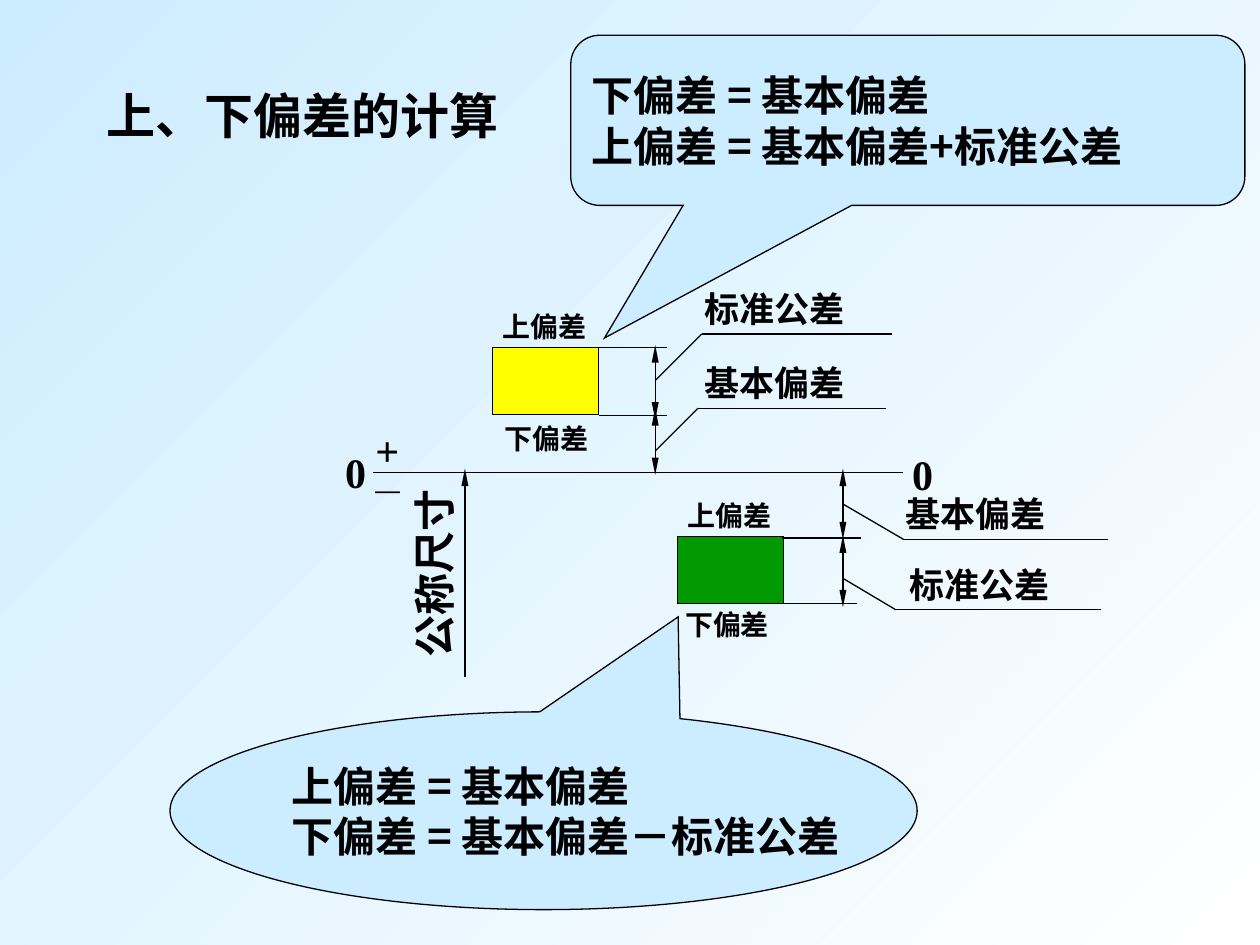
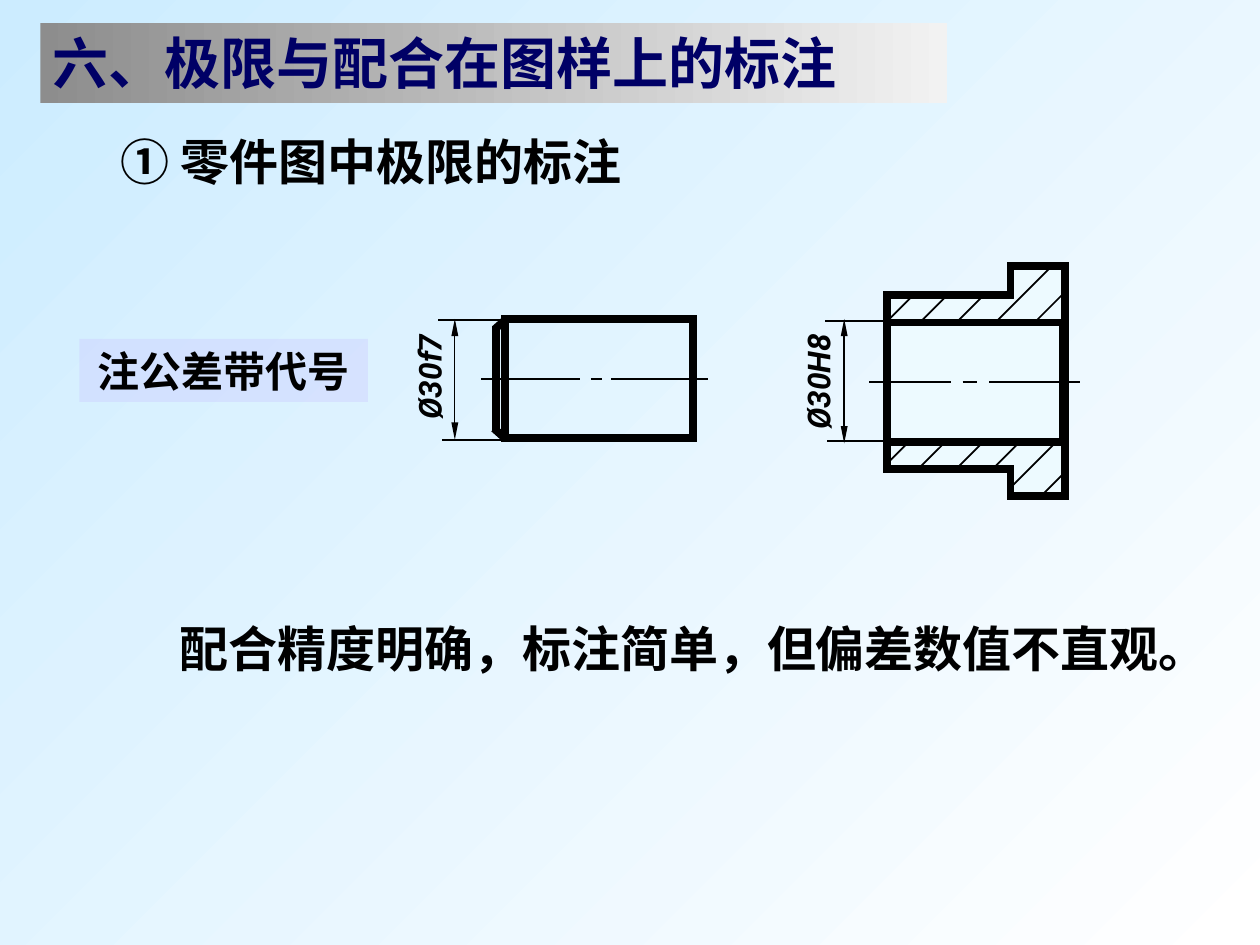
import dataclasses

import pptx
import pptx.dml.color
import pptx.enum.shapes
import pptx.enum.text
import pptx.oxml.ns
import pptx.util
from lxml import etree

SHAPE = pptx.enum.shapes.MSO_SHAPE
ALIGN = pptx.enum.text.PP_ALIGN
ANCHOR = pptx.enum.text.MSO_ANCHOR
FIT = pptx.enum.text.MSO_AUTO_SIZE
COLUMNS, ROWS = 100, 75


@dataclasses.dataclass(frozen=True)
class Theme:
    ink: str = "000000"
    navy: str = "000066"
    sky: str = "CCECFF"
    white: str = "FFFFFF"
    band_dark: str = "8D8D8D"
    band_light: str = "F2F2F2"
    lilac: str = "CCCCFF"
    metal: str = "EDFAFF"
    hole_zone: str = "FFFF00"
    shaft_zone: str = "009900"
    sans: str = "Noto Sans CJK SC"
    serif: str = "Times New Roman"
    latin: str = "Roboto"
    title: int = 32
    heading: int = 28
    body: int = 24
    label: int = 20
    dimension: int = 18
    small: int = 16
    sign: int = 14
    hairline: float = 0.75
    thin: float = 1
    outline: float = 4.5
    eraser: float = 6


THEME = Theme()


def rgb(value):
    return pptx.dml.color.RGBColor.from_string(value)


def add_xml(parent, tag, **attributes):
    return etree.SubElement(parent, pptx.oxml.ns.qn(tag), attributes)


def set_values(target, values):
    for name, value in values.items():
        setattr(target, name, value)


class Sheet:
    """Draws on the current slide; lengths are grid columns and rows."""

    def __init__(self, deck, theme):
        self.deck, self.theme = deck, theme
        self.slide = None

    def x(self, columns):
        return round(self.deck.slide_width * columns / COLUMNS)

    def y(self, rows):
        return round(self.deck.slide_height * rows / ROWS)

    def box(self, left, top, width, height):
        return self.x(left), self.y(top), self.x(width), self.y(height)

    def new_slide(self):
        self.slide = self.deck.slides.add_slide(self.deck.slide_layouts[6])
        self.gradient(self.slide.background.fill, self.theme.sky, self.theme.white, 315)

    def gradient(self, fill, first, last, angle):
        fill.gradient()
        fill.gradient_angle = angle
        for stop, color in zip(fill.gradient_stops, (first, last)):
            stop.color.rgb = rgb(color)

    def stroke(self, line, color, weight):
        line.width = pptx.util.Pt(weight)
        line.color.rgb = rgb(color)
        ln = line._get_or_add_ln()
        add_xml(ln, "a:miter", lim="800000")
        return ln

    def fill_text(self, holder, text, size, font=None, color=None, align=ALIGN.LEFT,
                  anchor=ANCHOR.TOP, wrap=False, fit=FIT.SHAPE_TO_FIT_TEXT,
                  italic=False, indent=0):
        frame = holder.text_frame
        set_values(frame, {"word_wrap": wrap, "auto_size": fit, "vertical_anchor": anchor})
        for number, words in enumerate(text.split("\n")):
            paragraph = frame.add_paragraph() if number else frame.paragraphs[0]
            paragraph.alignment = align
            if indent:
                paragraph._p.get_or_add_pPr().set("indent", str(self.x(indent)))
            run = paragraph.add_run()
            run.text = words
            run.font.color.rgb = rgb(color or self.theme.ink)
            set_values(run.font, {"size": pptx.util.Pt(size), "bold": True,
                                  "italic": italic, "name": font or self.theme.sans})
            add_xml(run.font._element, "a:ea", typeface=self.theme.sans)

    def text(self, place, words, size, rotation=0, **style):
        holder = self.slide.shapes.add_textbox(*self.box(*place))
        holder.rotation = rotation
        self.fill_text(holder, words, size, **style)

    def shape(self, place, fill=None, weight=None, kind=SHAPE.RECTANGLE, adjust=()):
        shape = self.slide.shapes.add_shape(kind, *self.box(*place))
        shape.shadow.inherit = False
        for number, value in enumerate(adjust):
            shape.adjustments[number] = value
        if fill:
            shape.fill.solid()
            shape.fill.fore_color.rgb = rgb(fill)
        else:
            shape.fill.background()
        if weight:
            self.stroke(shape.line, self.theme.ink, weight)
        else:
            shape.line.fill.background()
        return shape

    def line(self, x1, y1, x2, y2, weight=None, color=None, arrows=()):
        link = self.slide.shapes.add_connector(
            pptx.enum.shapes.MSO_CONNECTOR.STRAIGHT,
            self.x(x1), self.y(y1), self.x(x2), self.y(y2))
        ln = self.stroke(link.line, color or self.theme.ink, weight or self.theme.hairline)
        for end in arrows:
            add_xml(ln, f"a:{end}End", type="triangle", w="sm", len="lg")
        add_xml(link._element.spPr, "a:effectLst")

    def lines(self, ends, weight):
        for points in ends:
            self.line(*points, weight=weight)

    def span(self, x, top, bottom, weight=None):
        self.line(x, top, x, bottom, weight, arrows=("head", "tail"))

    def labelled_span(self, words, x, top, bottom, leader, elbow, end, label):
        """A dimension arrow with a leader from its middle to an underlined label."""
        self.span(x, top, bottom)
        self.line(x, leader, *elbow)
        self.line(*elbow, end, elbow[1])
        self.text((*label, 14.5, 4.4), words, self.theme.label)

    def callout(self, kind, place, adjust, words):
        bubble = self.shape(place, self.theme.sky, self.theme.hairline, kind, adjust)
        self.fill_text(bubble, words, self.theme.body, anchor=ANCHOR.MIDDLE, fit=FIT.NONE)


def deviation_slide(sheet):
    theme = sheet.theme
    sheet.new_slide()

    # Tolerance zones with their limits
    for color, left, top, upper, lower in (
            (theme.hole_zone, 39.1, 27.6, (38.9, 24.1), (39.1, 33)),
            (theme.shaft_zone, 53.8, 42.6, (53.6, 39.1), (53.4, 47.7))):
        sheet.shape((left, top, 8.4, 5.3), color, theme.hairline)
        for words, label in (("上偏差", upper), ("下偏差", lower)):
            sheet.text((*label, 9.7, 3.7), words, theme.small)

    # Extension lines
    sheet.lines(((47.5, 27.6, 52.9, 27.6), (47.5, 33, 52.9, 33),
                 (62.1, 42.7, 68.3, 42.7), (62.1, 47.9, 68, 47.9)), theme.hairline)

    # Standard tolerance and fundamental deviation
    for measure in (
            ("标准公差", 52, 27.4, 33.3, 30.2, (55.7, 26.5), 70.8, (54.9, 22.3)),
            ("基本偏差", 52, 32.4, 37.7, 35.8, (55.4, 32.4), 70.3, (54.9, 28.2)),
            ("基本偏差", 66.9, 37.2, 42.8, 40, (71.7, 42.8), 87.9, (70.9, 38.6)),
            ("标准公差", 66.9, 42.5, 48.2, 45.9, (71.1, 48.4), 87.4, (71.2, 44.2))):
        sheet.labelled_span(*measure)

    # Zero line and nominal size
    sheet.line(29.6, 37.5, 71.7, 37.5)
    sheet.line(36.9, 37.2, 36.9, 53.7, arrows=("head",))
    sheet.text((26.4, 42.6, 16.1, 5), "公称尺寸", theme.body, 270, font=theme.serif)
    sheet.text((28.8, 33.2, 3.9, 5), "+", theme.body, font=theme.serif)
    sheet.text((28.8, 37.1, 3.9, 3.4), "—", theme.sign, font=theme.serif)
    for zero in ((26.4, 34.9), (71.4, 35.1)):
        sheet.text((*zero, 3.6, 5), "0", theme.body, font=theme.serif,
                   align=ALIGN.CENTER, anchor=ANCHOR.MIDDLE)

    # Formulas and heading
    sheet.callout(SHAPE.ROUNDED_RECTANGULAR_CALLOUT, (45.3, 2.8, 53.5, 13.5),
                  (-0.45, 1.28, 0.17), "下偏差 = 基本偏差\n上偏差 = 基本偏差+标准公差")
    sheet.callout(SHAPE.OVAL_CALLOUT, (13.5, 56.5, 59.3, 15.7),
                  (0.18, -0.98), "上偏差 = 基本偏差\n下偏差 = 基本偏差－标准公差")
    sheet.text((4, 6.3, 40, 5.7), "上、下偏差的计算", theme.heading,
               font=theme.serif, align=ALIGN.CENTER, wrap=True)


def marking_slide(sheet):
    theme = sheet.theme
    centred = {"align": ALIGN.CENTER, "anchor": ANCHOR.MIDDLE}
    sheet.new_slide()

    # Title band, heading and remark
    band = sheet.shape((3.2, 1.8, 72, 6.4))
    sheet.gradient(band.fill, theme.band_dark, theme.band_light, 0)
    sheet.fill_text(band, "六、极限与配合在图样上的标注", theme.title,
                    color=theme.navy, wrap=True)
    sheet.text((1.2, 9.9, 56.5, 5.7), "① 零件图中极限的标注", theme.heading,
               wrap=True, **centred)
    sheet.text((9.8, 46.2, 83.4, 10.4), "配合精度明确，标注简单，但偏差数值不直观。",
               theme.heading, anchor=ANCHOR.MIDDLE, wrap=True, indent=3.5)

    # Method tag
    tag = sheet.shape((6.3, 26.9, 22.9, 5), theme.lilac)
    tint = tag.fill._xPr.find(".//" + pptx.oxml.ns.qn("a:srgbClr"))
    add_xml(tint, "a:alpha", val="41000")
    sheet.fill_text(tag, "注公差带代号", theme.body, font=theme.serif,
                    align=ALIGN.CENTER, wrap=True)

    # Diameter dimensions
    sheet.lines(((40.8, 25.4, 34.8, 25.4), (40.9, 34.9, 35.1, 34.9),
                 (71.2, 25.5, 65.5, 25.5), (70.9, 35, 65.6, 35)), theme.thin)
    sheet.span(36.1, 25.3, 34.9)
    sheet.span(67, 25.3, 35.2, theme.thin)
    for words, place in (("Ø30f7", (27.6, 27.9, 12.9, 4)), ("Ø30H8", (58.6, 28.3, 12.6, 4))):
        sheet.text(place, words, theme.dimension, 270, font=theme.latin,
                   italic=True, wrap=True, **centred)

    # Flanged bush in section
    sheet.shape((70.4, 23.4, 13.8, 13.8), theme.metal, theme.outline)
    sheet.shape((80.2, 21.1, 4.3, 18.3), theme.metal, theme.outline)
    sheet.line(80.1, 23.7, 80.1, 36.9, theme.eraser, theme.metal)
    sheet.shape((70.4, 25.6, 14, 9.5), theme.metal, theme.outline)

    # Hatching at 45 degrees: left end, lower end, run
    for left, low, run in (
            (70.5, 25.4, 2), (73.1, 25.5, 2.2), (76, 25.5, 2.2), (79, 25.6, 4.5),
            (82.3, 25.4, 2.1), (80, 21.8, 0.9), (70.3, 36.9, 1.9), (72.9, 37.2, 2.2),
            (76, 37.1, 2.1), (78.9, 37.1, 2.1), (80.2, 38.7, 3.7), (82.8, 39.2, 1.6)):
        sheet.line(left, low, left + run, low - run, theme.thin)

    # Shaft with chamfered end
    sheet.shape((40.1, 25.3, 14.9, 9.5), weight=theme.outline)
    sheet.lines(((40.1, 25.4, 39.3, 26.1), (39.4, 25.9, 39.4, 34.3),
                 (40.1, 34.8, 39.2, 34)), theme.outline)

    # Centre lines
    for height, dashes in ((30.1, ((38.2, 46), (46.9, 47.8), (48.5, 56.2))),
                           (30.3, ((69, 75.5), (76.4, 77.5), (78.5, 85.7)))):
        sheet.lines(((start, height, end, height) for start, end in dashes), theme.thin)


def main():
    deck = pptx.Presentation()
    set_values(deck, {"slide_width": pptx.util.Inches(10),
                      "slide_height": pptx.util.Inches(7.5)})
    sheet = Sheet(deck, THEME)
    deviation_slide(sheet)
    marking_slide(sheet)
    deck.save("out.pptx")


if __name__ == "__main__":
    main()
